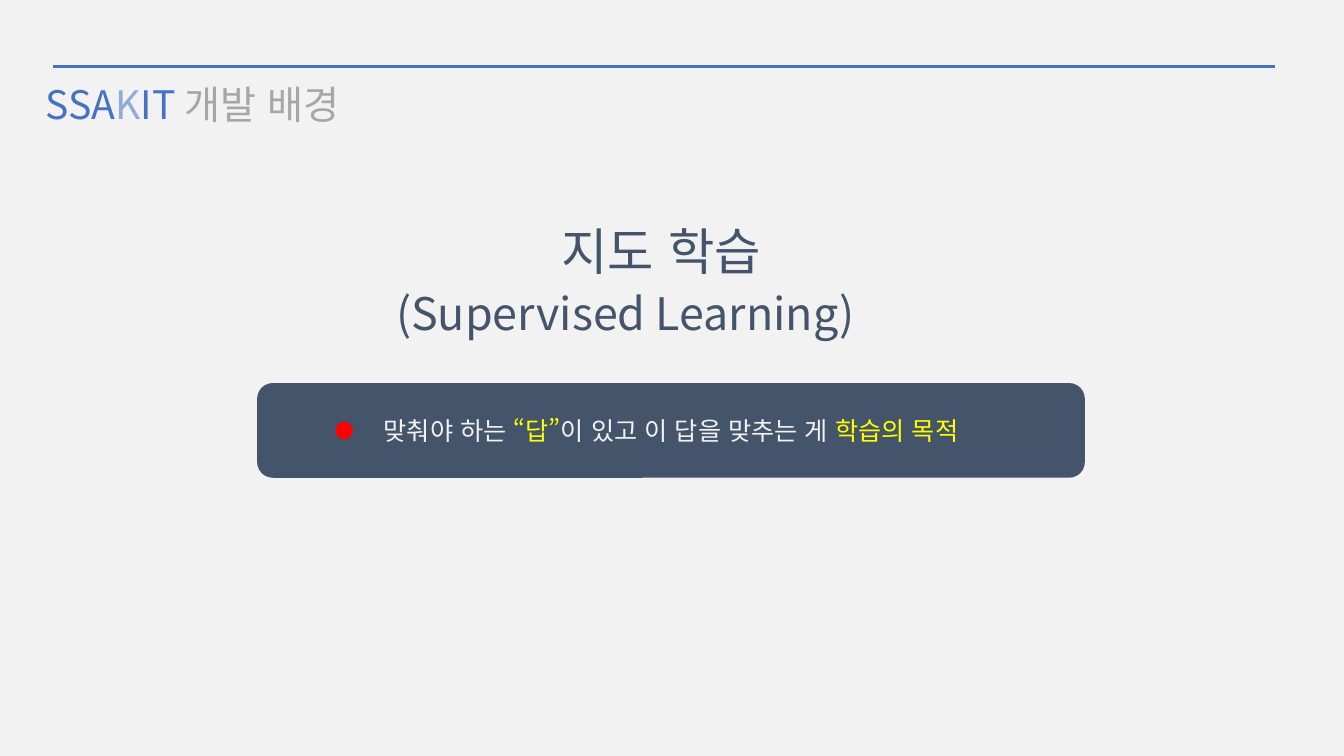
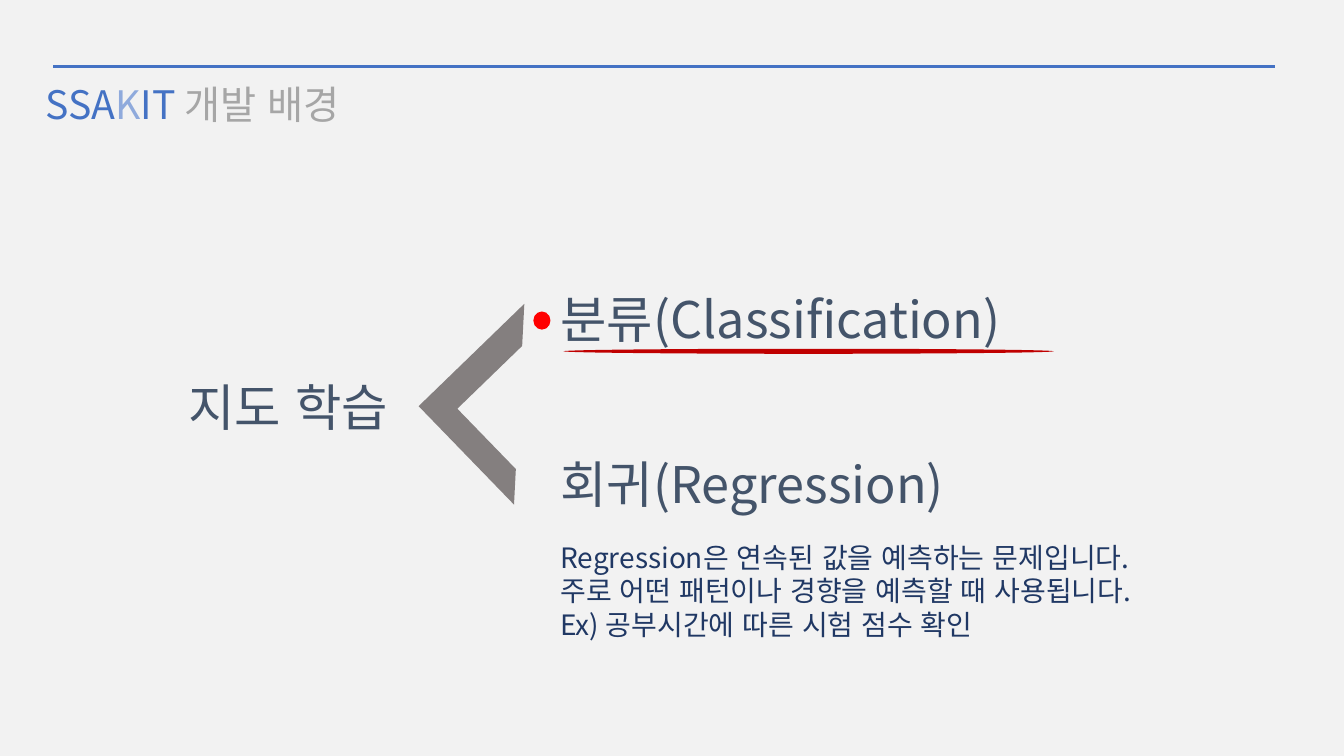
from lxml import etree
from pptx import Presentation
from pptx.dml.color import RGBColor
from pptx.enum import lang, shapes, text
from pptx.oxml import ns
from pptx.util import Inches, Pt

FONT = "Noto Sans CJK KR"
PAPER = RGBColor(0xF2, 0xF2, 0xF2)
BLUE = RGBColor(0x44, 0x72, 0xC4)
LIGHT_BLUE = RGBColor(0x8F, 0xAA, 0xDC)
GRAY = RGBColor(0xA6, 0xA6, 0xA6)
SLATE = RGBColor(0x44, 0x54, 0x6A)
NAVY = RGBColor(0x20, 0x38, 0x64)
YELLOW = RGBColor(0xFF, 0xFF, 0x00)
RED = RGBColor(0xFF, 0x00, 0x00)
DARK_RED = RGBColor(0xC0, 0x00, 0x00)
TAUPE = RGBColor(0x84, 0x7F, 0x7F)

SHAPE = shapes.MSO_SHAPE
PAGE_W, PAGE_H = 13.33, 7.5


def add_runs(p, parts, size):
    """Write (text, colour) parts into a paragraph."""
    for words, color in parts:
        r = p.add_run()
        r.text = words
        r.font.size = Pt(size)
        r.font.color.rgb = color
        r.font.name = FONT
        r.font.language_id = lang.MSO_LANGUAGE_ID.KOREAN
        ea = etree.SubElement(r.font._element, ns.qn("a:ea"))
        ea.set("typeface", FONT)


def add_text(s, x, y, w, h, lines, size, color=SLATE):
    sp = s.shapes.add_textbox(Inches(x), Inches(y), Inches(w), Inches(h))
    tf = sp.text_frame
    tf.word_wrap = True
    tf.auto_size = text.MSO_AUTO_SIZE.SHAPE_TO_FIT_TEXT
    for i, line in enumerate(lines):
        p = tf.add_paragraph() if i else tf.paragraphs[0]
        add_runs(p, [(line, color)], size)


def add_solid(s, kind, x, y, w, h, color):
    sp = s.shapes.add_shape(kind, Inches(x), Inches(y), Inches(w), Inches(h))
    sp.shadow.inherit = False
    sp.fill.solid()
    sp.fill.fore_color.rgb = color
    sp.line.fill.background()
    return sp


def add_dot(s, x, y):
    add_solid(s, SHAPE.OVAL, x, y, 0.17, 0.18, RED)


def add_page(prs):
    """New slide with the shared backdrop, rule and title."""
    s = prs.slides.add_slide(prs.slide_layouts[5])
    add_solid(s, SHAPE.RECTANGLE, 0, 0, PAGE_W, PAGE_H, PAPER)
    rule = s.shapes.add_connector(shapes.MSO_CONNECTOR.STRAIGHT, Inches(0.53),
                                  Inches(0.66), Inches(12.65), Inches(0.66))
    rule.line.color.rgb = BLUE
    rule.line.width = Pt(1.5)
    etree.SubElement(rule._element.spPr, ns.qn("a:effectLst"))

    title = s.shapes.title
    # Bring the title in front of the backdrop
    s.shapes._spTree.append(title._element)
    title.left, title.top = Inches(0.35), Inches(0.75)
    title.width, title.height = Inches(3.97), Inches(0.57)
    tf = title.text_frame
    tf.auto_size = text.MSO_AUTO_SIZE.NONE
    tf.vertical_anchor = text.MSO_ANCHOR.TOP
    p = tf.paragraphs[0]
    p.alignment = text.PP_ALIGN.LEFT
    add_runs(p, [("SSA", BLUE), ("K", LIGHT_BLUE), ("IT ", BLUE),
                 ("개발 배경", GRAY)], 28)
    return s


def add_banner(s, x, y, w, h, parts):
    """Rounded band with a centred statement and a red marker."""
    sp = add_solid(s, SHAPE.ROUNDED_RECTANGLE, x, y, w, h, SLATE)
    tf = sp.text_frame
    tf.word_wrap = True
    tf.vertical_anchor = text.MSO_ANCHOR.MIDDLE
    p = tf.paragraphs[0]
    p.alignment = text.PP_ALIGN.CENTER
    add_runs(p, parts, 18)
    add_dot(s, x + 0.78, y + 0.38)


def add_branch(s, x, y, w, h):
    """Angle bracket that opens to the right."""
    sp = add_solid(s, SHAPE.HALF_FRAME, x, y, w, h, TAUPE)
    sp.adjustments[0], sp.adjustments[1] = 0.21, 0.19
    sp.rotation = 315.9


def add_choices(s, x, y):
    """Two kinds of learning, the first one marked."""
    add_text(s, x, y, 5.56, 0.71, ["분류(Classification)"], 36)
    add_text(s, x, y + 1.64, 4.42, 0.71, ["회귀(Regression)"], 36)
    add_text(s, x, y + 2.5, 5.83, 1.11, [
        "Regression은 연속된 값을 예측하는 문제입니다.",
        "주로 어떤 패턴이나 경향을 예측할 때 사용됩니다.",
        "Ex) 공부시간에 따른 시험 점수 확인",
    ], 20, NAVY)
    add_dot(s, x - 0.17, y + 0.28)
    add_solid(s, SHAPE.OVAL, x + 0.13, y + 0.65, 4.86, 0.05, DARK_RED)


def build_definition(prs):
    s = add_page(prs)
    add_text(s, 5.47, 2.13, 2.36, 0.71, ["지도 학습"], 36)
    add_text(s, 3.83, 2.79, 5.66, 1.04, ["(Supervised Learning)"], 32)
    add_banner(s, 2.55, 3.8, 8.21, 0.94, [
        ("맞춰야 하는 ", PAPER), ("“답”", YELLOW),
        ("이 있고 이 답을 맞추는 게 ", PAPER), ("학습의 목적", YELLOW)])


def build_kinds(prs):
    s = add_page(prs)
    add_text(s, 1.77, 3.68, 2.39, 0.71, ["지도 학습"], 36)
    add_branch(s, 4.42, 3.33, 1.46, 1.36)
    add_choices(s, 5.46, 2.81)


def main():
    prs = Presentation()
    prs.slide_width, prs.slide_height = Inches(PAGE_W), Inches(PAGE_H)
    build_definition(prs)
    build_kinds(prs)
    prs.save("out.pptx")


if __name__ == "__main__":
    main()
